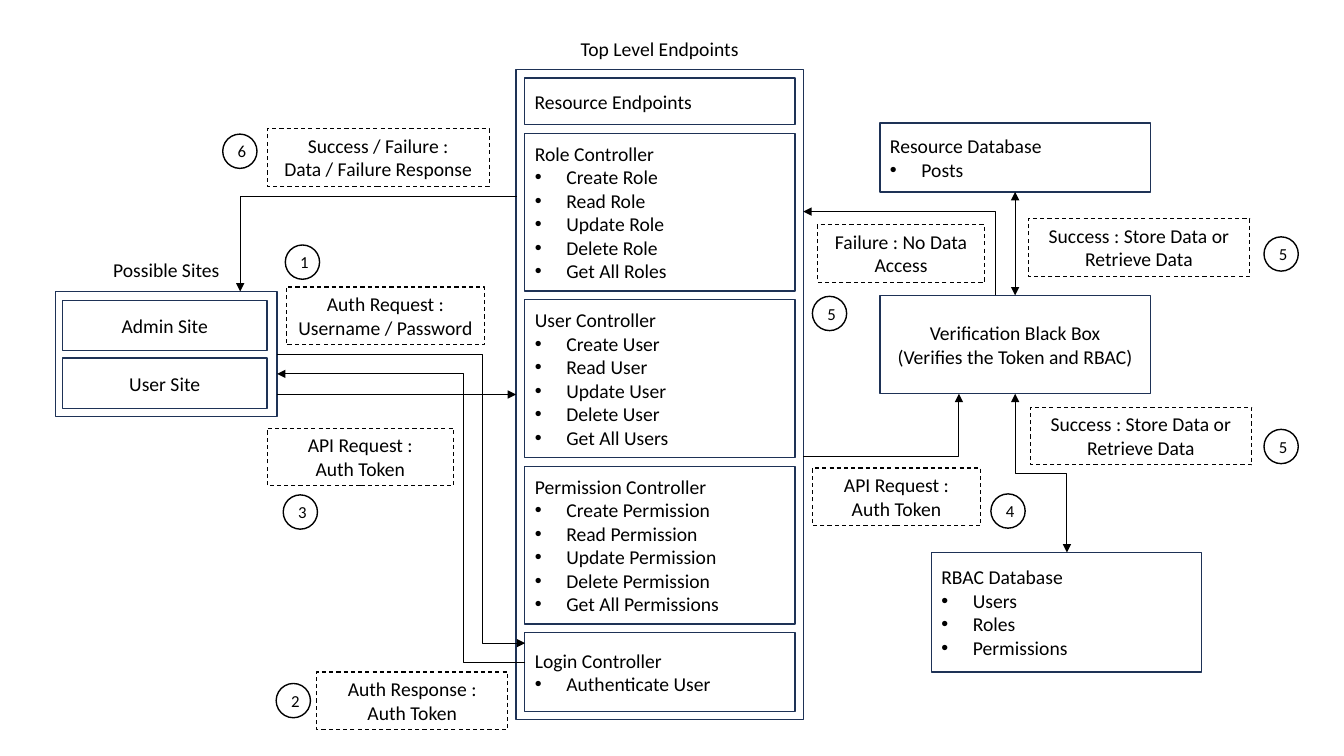
from typing import NamedTuple

from lxml.etree import SubElement
from pptx import Presentation
from pptx.dml.color import RGBColor
from pptx.enum.dml import MSO_LINE
from pptx.enum.shapes import MSO_CONNECTOR, MSO_SHAPE
from pptx.enum.text import MSO_ANCHOR, MSO_AUTO_SIZE, PP_ALIGN
from pptx.oxml.ns import qn
from pptx.util import Pt

NAVY = RGBColor(0x1E, 0x32, 0x56)
BLACK = RGBColor(0, 0, 0)
FONT = "Calibri"
INDENT = 22.5
BOX_W = 193
SITE_H = 36
NOTE_H = 41.2
DISC = 24.5
GAP = 6.2


class Card(NamedTuple):
    """A headed box; items become bullets below the head."""
    head: str
    left: float
    top: float
    width: float
    height: float
    items: tuple = ()
    align: PP_ALIGN = PP_ALIGN.LEFT


class Note(NamedTuple):
    text: str
    left: float
    top: float
    width: float


class Step(NamedTuple):
    digit: str
    left: float
    top: float


class Route(NamedTuple):
    """An elbow arrow; bend is the share of the way at which it turns."""
    start: tuple
    end: tuple
    bend: float
    upright: bool = False
    double: bool = False


def crud(noun: str) -> tuple:
    """List the actions of one controller."""
    return (*(f"{verb} {noun}" for verb in ("Create", "Read", "Update", "Delete")),
            f"Get All {noun}s")


COLUMN = (
    ("Resource Endpoints", 33.3, ()),
    ("Role Controller", 112.7, crud("Role")),
    ("User Controller", 112.7, crud("User")),
    ("Permission Controller", 112.7, crud("Permission")),
    ("Login Controller", 56.3, ("Authenticate User",)),
)
SITES = ("Admin Site", "User Site")
STORE = Card("Resource Database", 628.6, 87.9, BOX_W, 49.2, ("Posts",))
CHECK = Card("Verification Black Box\n(Verifies the Token and RBAC)",
             628.6, 211, BOX_W, 70.3, (), PP_ALIGN.CENTER)
RBAC = Card("RBAC Database", 665.3, 394.6, BOX_W, 85.5,
            ("Users", "Roles", "Permissions"))
HUB = Card("", 368.6, 49.5, 205.2, 464.6)
CLIENT = Card("", 39.6, 208.2, 158.4, 89.2)

API = "API Request :\nAuth Token"
SAVE = "Success : Store Data or\nRetrieve Data"
NOTES = (
    Note("Auth Request :\nUsername / Password", 204.5, 205, 141.8),
    Note("Auth Response : Auth Token", 226.1, 480, 136.8),
    Note(SAVE, 735.8, 290.9, 158.4),
    Note(API, 190.8, 305.8, 133.2),
    Note(SAVE, 734.4, 156.2, 158.4),
    Note(API, 580.3, 334.3, 120.2),
    Note("Failure : No Data Access", 583.9, 160.6, 119.5),
    Note("Success / Failure :\nData / Failure Response", 191, 92, 158.4),
)
STEPS = (
    Step("1", 203.8, 175), Step("2", 197.3, 488.2), Step("3", 202.3, 353.5),
    Step("4", 707.8, 352.8), Step("5", 902.9, 169.2), Step("5", 902.9, 306.7),
    Step("5", 580.3, 211.7), Step("6", 159.1, 95.8),
)
ROUTES = (
    Route((198, 253.2), (375.1, 459.4), 0.83),
    Route((375.1, 473), (198, 267.1), 0.25),
    Route((725.1, 281.3), (762.1, 394.6), 0.5, True, True),
    Route((573.8, 326.2), (685, 281.3), 1),
    Route((711.2, 211), (573.8, 151.2), 0),
    Route((369.1, 140.4), (171.6, 208.2), 1),
)


def place(shape, left: float, top: float, width: float, height: float) -> None:
    shape.left, shape.top = Pt(left), Pt(top)
    shape.width, shape.height = Pt(width), Pt(height)


def border(shape, color: RGBColor, width: float) -> None:
    shape.fill.background()
    shape.line.color.rgb = color
    shape.line.width = Pt(width)


def write(shape, text: str, align: PP_ALIGN, size: float = 14,
          anchor: MSO_ANCHOR = MSO_ANCHOR.MIDDLE) -> None:
    frame = shape.text_frame
    frame.text = text
    frame.word_wrap = True
    frame.auto_size = MSO_AUTO_SIZE.NONE
    frame.vertical_anchor = anchor
    for par in frame.paragraphs:
        par.alignment = align
        par.space_before = par.space_after = Pt(0)
        for run in par.runs:
            font = run.font
            font.name, font.size, font.bold = FONT, Pt(size), False
            font.color.rgb = BLACK


def mark(par, dotted: bool) -> None:
    """Give a paragraph a hanging bullet, or clear an inherited one."""
    props = par._p.get_or_add_pPr()
    indent = Pt(INDENT) if dotted else 0
    props.set("marL", str(indent))
    props.set("indent", str(-indent))
    if dotted:
        SubElement(props, qn("a:buFont")).set("typeface", "Arial")
        SubElement(props, qn("a:buChar")).set("char", "•")
    else:
        SubElement(props, qn("a:buNone"))


def add_form(slide, kind: MSO_SHAPE, left: float, top: float, width: float, height: float):
    shape = slide.shapes.add_shape(kind, Pt(left), Pt(top), Pt(width), Pt(height))
    shape.shadow.inherit = False
    return shape


def draw_card(slide, card: Card, holder=None):
    """Draw a card, in the given placeholder if there is one."""
    area = card.left, card.top, card.width, card.height
    shape = holder or add_form(slide, MSO_SHAPE.RECTANGLE, *area)
    place(shape, *area)
    border(shape, NAVY, 1)
    if card.head:
        write(shape, "\n".join((card.head, *card.items)), card.align)
        if card.items:
            for rank, par in enumerate(shape.text_frame.paragraphs):
                mark(par, rank > 0)
    return shape


def draw_note(slide, note: Note) -> None:
    shape = add_form(slide, MSO_SHAPE.RECTANGLE, note.left, note.top, note.width, NOTE_H)
    border(shape, BLACK, 0.75)
    shape.line.dash_style = MSO_LINE.DASH
    write(shape, note.text, PP_ALIGN.CENTER, anchor=MSO_ANCHOR.TOP)


def draw_step(slide, step: Step) -> None:
    shape = add_form(slide, MSO_SHAPE.OVAL, step.left, step.top, DISC, DISC)
    border(shape, BLACK, 1)
    write(shape, step.digit, PP_ALIGN.CENTER, 12)


def add_arrow(slide, kind: MSO_CONNECTOR, start: tuple, end: tuple, double: bool = False):
    link = slide.shapes.add_connector(kind, *map(Pt, start + end))
    link.line.color.rgb = BLACK
    link.line.width = Pt(0.75)
    props = link._element.spPr
    SubElement(props, qn("a:effectLst"))
    for side in ("headEnd", "tailEnd") if double else ("tailEnd",):
        SubElement(props.find(qn("a:ln")), qn(f"a:{side}")).set("type", "triangle")
    return link


def draw_route(slide, route: Route) -> None:
    (x1, y1), (x2, y2) = start, end = route.start, route.end
    if route.upright:
        mid_x, mid_y = (x1 + x2) / 2, (y1 + y2) / 2
        half_w, half_h = (x2 - x1) / 2, (y2 - y1) / 2
        start = mid_x + half_h, mid_y - half_w
        end = mid_x - half_h, mid_y + half_w
    link = add_arrow(slide, MSO_CONNECTOR.ELBOW, start, end, route.double)
    props = link._element.spPr
    if route.upright:
        props.find(qn("a:xfrm")).set("rot", str(270 * 60000))
    guide = SubElement(props.find(qn("a:prstGeom")).find(qn("a:avLst")), qn("a:gd"))
    guide.set("name", "adj1")
    guide.set("fmla", f"val {round(route.bend * 100000)}")


def main() -> None:
    deck = Presentation()
    deck.slide_width, deck.slide_height = Pt(960), Pt(540)
    slide = deck.slides.add_slide(deck.slide_layouts.get_by_name("Comparison"))

    title = slide.shapes.title
    place(title, HUB.left, 23, HUB.width, 24.5)
    write(title, "Top Level Endpoints", PP_ALIGN.CENTER, anchor=MSO_ANCHOR.TOP)
    label = slide.shapes.add_textbox(Pt(CLIENT.left), Pt(181), Pt(CLIENT.width), Pt(24.5))
    write(label, "Possible Sites", PP_ALIGN.CENTER, anchor=MSO_ANCHOR.TOP)

    hub = draw_card(slide, HUB)
    draw_card(slide, CLIENT)
    bodies = iter([body for body in slide.placeholders if body != title][:4])
    top = HUB.top + GAP
    for head, height, items in COLUMN:
        card = Card(head, HUB.left + GAP, top, BOX_W, height, items)
        draw_card(slide, card, next(bodies) if items else None)
        top += height + GAP
    for rank, site in enumerate(SITES):
        draw_card(slide, Card(site, 44.6, 214.5 + rank * 41.2, 146.2, SITE_H,
                              (), PP_ALIGN.CENTER))
    store, check, _ = [draw_card(slide, card) for card in (STORE, CHECK, RBAC)]

    for note in NOTES:
        draw_note(slide, note)
    for step in STEPS:
        draw_step(slide, step)
    for route in ROUTES:
        draw_route(slide, route)
    level = HUB.top + HUB.height / 2
    call = add_arrow(slide, MSO_CONNECTOR.STRAIGHT, (198, level), (HUB.left, level))
    call.end_connect(hub, 1)
    query = add_arrow(slide, MSO_CONNECTOR.STRAIGHT, (725.1, 137.1), (725.1, 211), True)
    query.begin_connect(store, 2)
    query.end_connect(check, 0)
    deck.save("out.pptx")


if __name__ == "__main__":
    main()
